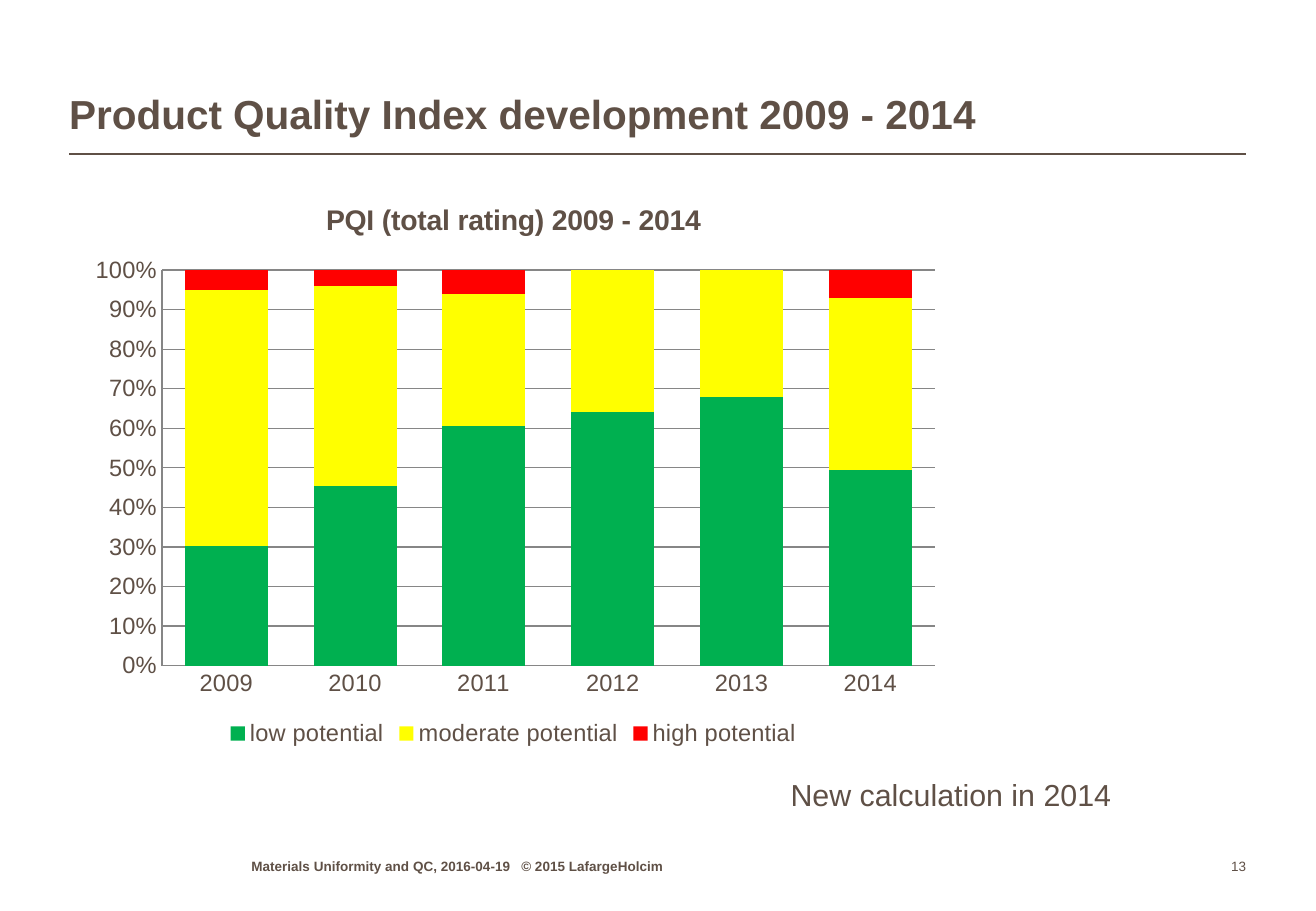
from dataclasses import dataclass

from lxml import etree
from pptx import Presentation
from pptx.chart.data import CategoryChartData
from pptx.dml.color import RGBColor
from pptx.enum.chart import XL_CHART_TYPE, XL_LEGEND_POSITION, XL_TICK_MARK
from pptx.enum.shapes import MSO_CONNECTOR
from pptx.enum.text import MSO_ANCHOR, MSO_AUTO_SIZE, PP_ALIGN
from pptx.oxml import parse_xml
from pptx.oxml.ns import nsdecls, qn
from pptx.slide import Slide
from pptx.text.text import Font, TextFrame
from pptx.util import Pt

STACKED_100 = XL_CHART_TYPE.COLUMN_STACKED_100
LEGEND_BOTTOM = XL_LEGEND_POSITION.BOTTOM
NO_TICK = XL_TICK_MARK.NONE
STRAIGHT = MSO_CONNECTOR.STRAIGHT
TOP, BOTTOM = MSO_ANCHOR.TOP, MSO_ANCHOR.BOTTOM
FIT_SHAPE, NO_FIT = MSO_AUTO_SIZE.SHAPE_TO_FIT_TEXT, MSO_AUTO_SIZE.NONE
LEFT, RIGHT = PP_ALIGN.LEFT, PP_ALIGN.RIGHT


@dataclass(frozen=True)
class Theme:
    font: str = "Arial"
    ink: str = "5F5046"
    grid: str = "868686"
    title: float = 24
    note: float = 18
    chart_title: float = 16.8
    chart: float = 14
    footer: float = 8


@dataclass(frozen=True)
class Box:
    left: float
    top: float
    width: float
    height: float


@dataclass(frozen=True)
class Label:
    text: str
    box: Box
    size: float
    bold: bool = False
    align: PP_ALIGN = LEFT
    anchor: MSO_ANCHOR = BOTTOM
    inset: bool = False
    wrap: bool = False
    fit: MSO_AUTO_SIZE = NO_FIT
    tab: float | None = None


@dataclass(frozen=True)
class Rating:
    name: str
    values: tuple[int, ...]
    color: str


THEME = Theme()
MARGIN, CONTENT_WIDTH = 41, 697.7
RULE_Y = 91.5
FOOTER_Y, FOOTER_HEIGHT = 505.4, 13

TITLE = "Product Quality Index development 2009 - 2014"
TITLE_BOX = Box(MARGIN, 15.1, CONTENT_WIDTH, 67)
CHART_TITLE = "PQI (total rating) 2009 - 2014"
CHART_BOX = Box(43.9, 105.8, 520.6, 339.8)
PLOT_FRACTIONS = {"x": 0.1, "y": 0.16, "w": 0.88, "h": 0.69}
YEARS = [str(year) for year in range(2009, 2015)]
RATINGS = (
    Rating("low potential", (30, 45, 60, 64, 68, 49), "00B050"),
    Rating("moderate potential", (64, 50, 33, 36, 32, 43), "FFFF00"),
    Rating("high potential", (5, 4, 6, 0, 0, 7), "FF0000"),
)
LABELS = (
    Label("New calculation in 2014", Box(461.5, 456.5, 206.6, 28.8), THEME.note,
          anchor=TOP, inset=True, fit=FIT_SHAPE),
    Label("Materials Uniformity and QC, 2016-04-19\t© 2015 LafargeHolcim",
          Box(149, FOOTER_Y, 250, FOOTER_HEIGHT), THEME.footer,
          bold=True, wrap=True, tab=160),
    Label("13", Box(704.9, FOOTER_Y, 33.8, FOOTER_HEIGHT), THEME.footer, align=RIGHT),
)


def style_font(font: Font, size: float, bold: bool = False) -> None:
    font.name = THEME.font
    font.size = Pt(size)
    font.bold = bold
    font.color.rgb = RGBColor.from_string(THEME.ink)


def clear_insets(tf: TextFrame) -> None:
    tf.margin_left = tf.margin_top = tf.margin_right = tf.margin_bottom = 0


def points(box: Box) -> tuple[Pt, Pt, Pt, Pt]:
    return Pt(box.left), Pt(box.top), Pt(box.width), Pt(box.height)


def add_title(s: Slide) -> None:
    sp = s.shapes.title
    sp.left, sp.top, sp.width, sp.height = points(TITLE_BOX)
    tf = sp.text_frame
    tf.text = TITLE
    tf.word_wrap = True
    tf.auto_size = NO_FIT
    tf.vertical_anchor = BOTTOM
    clear_insets(tf)
    p = tf.paragraphs[0]
    p.alignment = LEFT
    p.line_spacing = 0.95
    style_font(p.font, THEME.title, bold=True)


def add_rule(s: Slide) -> None:
    line = s.shapes.add_connector(STRAIGHT, Pt(MARGIN), Pt(RULE_Y),
                                  Pt(MARGIN + CONTENT_WIDTH), Pt(RULE_Y))
    line.line.color.rgb = RGBColor.from_string(THEME.ink)
    line.line.width = Pt(1)
    etree.SubElement(line._element.spPr, qn("a:effectLst"))


def add_label(s: Slide, label: Label) -> None:
    tf = s.shapes.add_textbox(*points(label.box)).text_frame
    tf.text = label.text
    tf.word_wrap = label.wrap
    tf.auto_size = label.fit
    tf.vertical_anchor = label.anchor
    if not label.inset:
        clear_insets(tf)
    p = tf.paragraphs[0]
    p.alignment = label.align
    if label.tab is not None:
        tabs = etree.SubElement(p._p.get_or_add_pPr(), qn("a:tabLst"))
        etree.SubElement(tabs, qn("a:tab"), pos=str(Pt(label.tab)), algn="l")
    style_font(p.font, label.size, label.bold)


def add_rating_chart(s: Slide) -> None:
    data = CategoryChartData()
    data.categories = YEARS
    for rating in RATINGS:
        data.add_series(rating.name, rating.values)
    chart = s.shapes.add_chart(STACKED_100, *points(CHART_BOX), data).chart
    style_font(chart.font, THEME.chart)

    chart.has_title = True
    tf = chart.chart_title.text_frame
    tf.text = CHART_TITLE
    style_font(tf.paragraphs[0].font, THEME.chart_title, bold=True)
    chart.chart_title.include_in_layout = False

    chart.has_legend = True
    chart.legend.position = LEGEND_BOTTOM
    chart.legend.include_in_layout = False

    plot = chart.plots[0]
    plot.gap_width = 55
    plot.overlap = 100
    plot.vary_by_categories = False
    for series, rating in zip(plot.series, RATINGS):
        series.format.fill.solid()
        series.format.fill.fore_color.rgb = RGBColor.from_string(rating.color)

    value_axis = chart.value_axis
    value_axis.has_major_gridlines = True
    value_axis.maximum_scale = 1
    value_axis.major_unit = 0.1
    value_axis.tick_labels.number_format = "0%"
    value_axis.tick_labels.number_format_is_linked = False
    for axis in (chart.category_axis, value_axis):
        axis.major_tick_mark = axis.minor_tick_mark = NO_TICK
    for part in (chart.category_axis, value_axis, value_axis.major_gridlines):
        part.format.line.color.rgb = RGBColor.from_string(THEME.grid)
        part.format.line.width = Pt(0.75)
    place_plot(chart._chartSpace.chart.plotArea)


def place_plot(plot_area: etree.ElementBase) -> None:
    """Fix the inner plot rectangle as fractions of the chart."""
    for layout in plot_area.findall(qn("c:layout")):
        plot_area.remove(layout)
    sizes = "".join(f'<c:{key} val="{value}"/>' for key, value in PLOT_FRACTIONS.items())
    plot_area.insert(0, parse_xml(
        f'<c:layout {nsdecls("c")}><c:manualLayout><c:layoutTarget val="inner"/>'
        f'<c:xMode val="edge"/><c:yMode val="edge"/>{sizes}</c:manualLayout></c:layout>'))


def main() -> None:
    prs = Presentation()
    prs.slide_width, prs.slide_height = Pt(780), Pt(540)
    s = prs.slides.add_slide(prs.slide_layouts.get_by_name("Title Only"))
    add_rule(s)
    add_title(s)
    add_rating_chart(s)
    for label in LABELS:
        add_label(s, label)
    prs.save("out.pptx")


if __name__ == "__main__":
    main()
